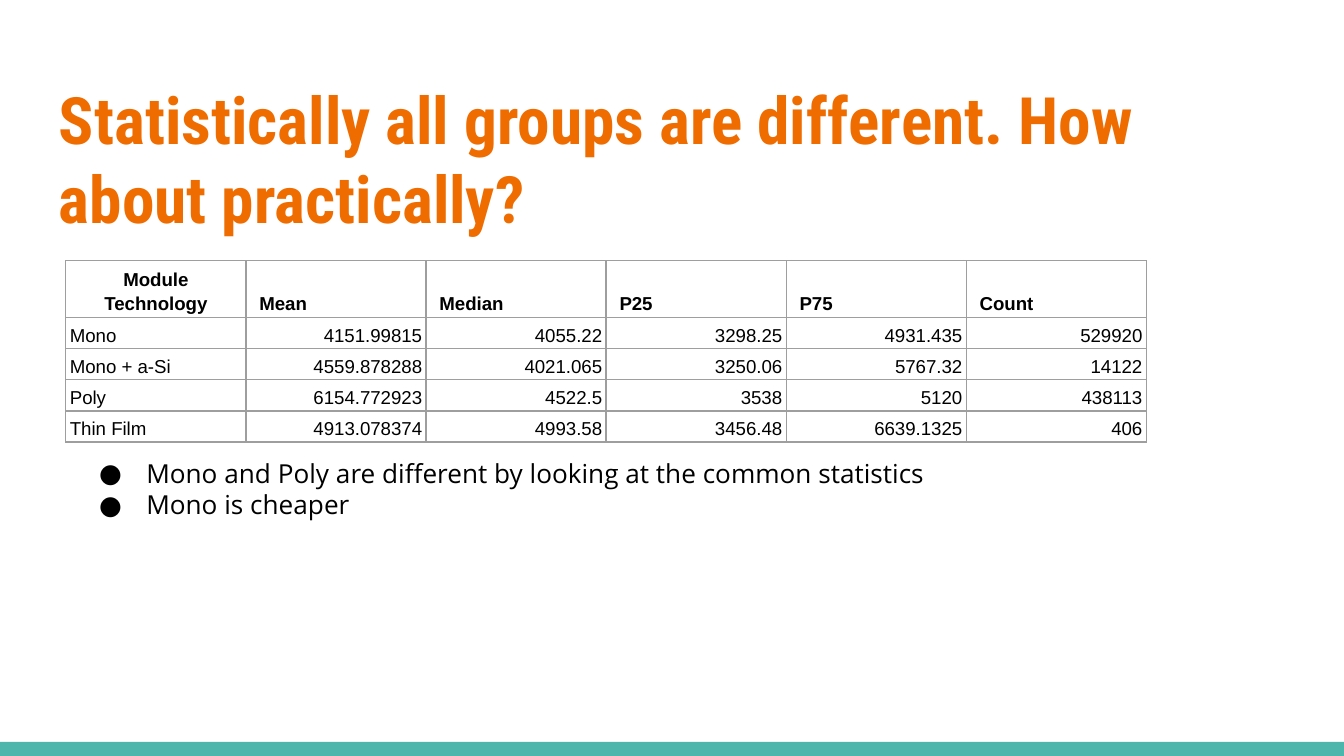
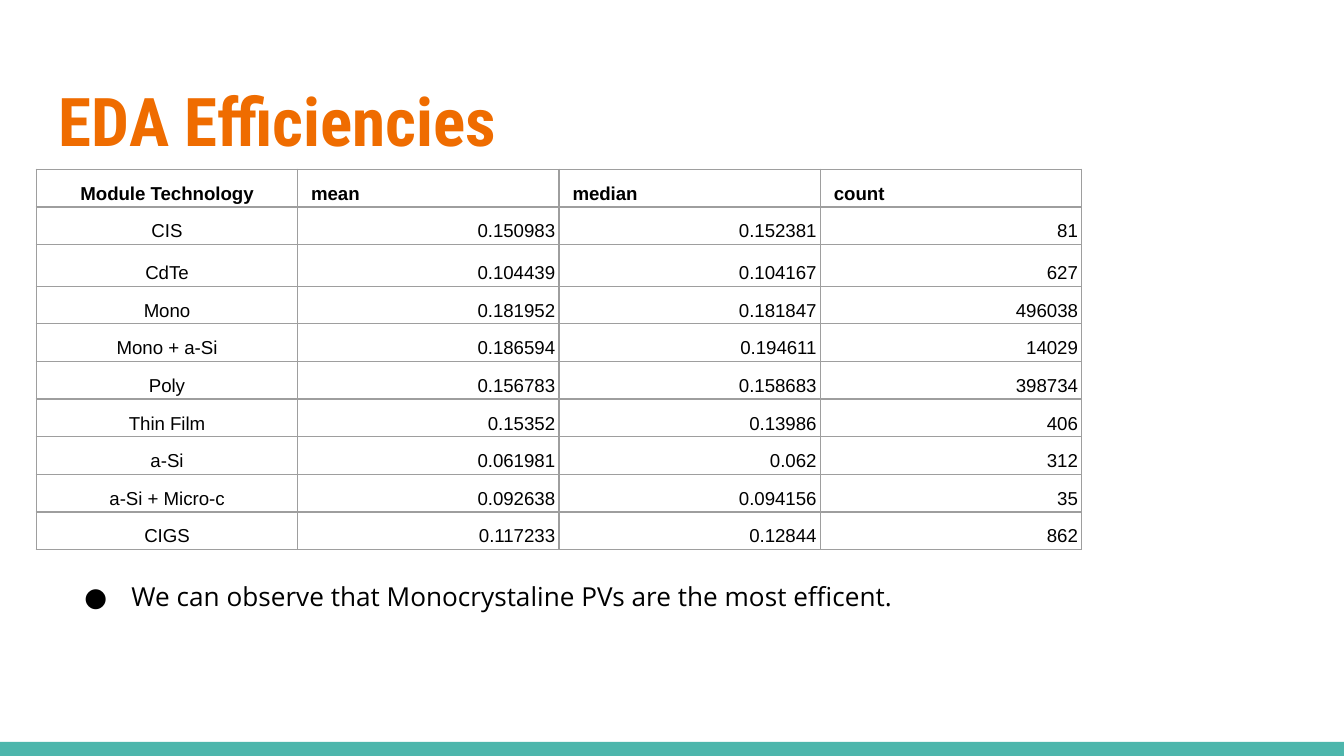
import pptx
import pptx.util
import pptx.dml.color
import pptx.enum.shapes
import pptx.enum.text
import pptx.oxml
import pptx.oxml.ns

Inches = pptx.util.Inches
ALIGN = pptx.enum.text.PP_ALIGN
BLACK, ORANGE, TEAL, GREY = "000000", "EF6C00", "4DB6AC", "9E9E9E"
SPACE = pptx.oxml.ns.nsdecls("a")

COSTS = [
    ["Module Technology", "Mean", "Median", "P25", "P75", "Count"],
    ["Mono", "4151.99815", "4055.22", "3298.25", "4931.435", "529920"],
    ["Mono + a-Si", "4559.878288", "4021.065", "3250.06", "5767.32", "14122"],
    ["Poly", "6154.772923", "4522.5", "3538", "5120", "438113"],
    ["Thin Film", "4913.078374", "4993.58", "3456.48", "6639.1325", "406"],
]
YIELDS = [
    ["Module Technology", "mean", "median", "count"],
    ["CIS", "0.150983", "0.152381", "81"],
    ["CdTe", "0.104439", "0.104167", "627"],
    ["Mono", "0.181952", "0.181847", "496038"],
    ["Mono + a-Si", "0.186594", "0.194611", "14029"],
    ["Poly", "0.156783", "0.158683", "398734"],
    ["Thin Film", "0.15352", "0.13986", "406"],
    ["a-Si", "0.061981", "0.062", "312"],
    ["a-Si + Micro-c", "0.092638", "0.094156", "35"],
    ["CIGS", "0.117233", "0.12844", "862"],
]


def paint(target, color):
    target.solid()
    target.fore_color.rgb = pptx.dml.color.RGBColor.from_string(color)


def write(para, text, font="Arial", size=10, color=BLACK, bold=False,
          align=ALIGN.LEFT, space=None):
    run = para.add_run()
    run.text = text
    run.font.name = font
    run.font.size = pptx.util.Pt(size)
    run.font.bold = bold
    paint(run.font.fill, color)
    para.alignment = align
    if space:
        para.line_spacing = space
    para._p.append(pptx.oxml.parse_xml(
        f'<a:endParaRPr {SPACE} sz="{size * 100}"/>'))


def mark(para, font, size):
    props = para._p.get_or_add_pPr()
    props.set("marL", str(Inches(0.5)))
    props.set("indent", str(Inches(-0.35)))
    for tag in (f'<a:buClr {SPACE}><a:srgbClr val="{BLACK}"/></a:buClr>',
                f'<a:buSzPts {SPACE} val="{size * 100}"/>',
                f'<a:buFont {SPACE} typeface="{font}"/>',
                f'<a:buChar {SPACE} char="●"/>'):
        props.append(pptx.oxml.parse_xml(tag))


def edge(cell):
    props = cell._tc.get_or_add_tcPr()
    width = pptx.util.Pt(0.75)
    for spot, side in enumerate("LRTB"):
        props.insert(spot, pptx.oxml.parse_xml(
            f'<a:ln{side} {SPACE} w="{width}"><a:solidFill>'
            f'<a:srgbClr val="{GREY}"/></a:solidFill></a:ln{side}>'))


def add_box(slide, left, top, width, height):
    box = slide.shapes.add_textbox(*map(Inches, (left, top, width, height)))
    frame = box.text_frame
    frame.word_wrap = True
    frame.margin_left = frame.margin_right = Inches(0.1)
    frame.margin_top = frame.margin_bottom = Inches(0.1)
    return frame


def add_page(deck, title, size, height):
    slide = deck.slides.add_slide(deck.slide_layouts[6])
    paint(slide.background.fill, "FFFFFF")
    band = slide.shapes.add_shape(
        pptx.enum.shapes.MSO_SHAPE.RECTANGLE,
        *map(Inches, (0, 5.52, 10, 0.11)))
    band.shadow.inherit = False
    paint(band.fill, TEAL)
    band.line.fill.background()
    frame = add_box(slide, 0.34, 0.49, 9.32, height)
    write(frame.paragraphs[0], title, font="Roboto Condensed", size=size,
          color=ORANGE, bold=True)
    return slide


def add_grid(slide, data, left, top, width, highs, first):
    count = len(data[0])
    table = slide.shapes.add_table(
        len(data), count,
        *map(Inches, (left, top, width, sum(highs)))).table
    table.first_row = table.horz_banding = False
    for col in table.columns:
        col.width = Inches(width / count)
    for r, (row, high) in enumerate(zip(data, highs)):
        table.rows[r].height = Inches(high)
        for c, text in enumerate(row):
            cell = table.cell(r, c)
            head = r == 0
            if head:
                align = ALIGN.LEFT if c else ALIGN.CENTER
            else:
                align = ALIGN.RIGHT if c else first
            cell.margin_left = cell.margin_right = Inches(0.1 if head else 0.03)
            cell.margin_top = cell.margin_bottom = Inches(0.02)
            cell.vertical_anchor = pptx.enum.text.MSO_ANCHOR.BOTTOM
            cell.fill.background()
            edge(cell)
            write(cell.text_frame.paragraphs[0], text, bold=head,
                  align=align, space=1.15)


def add_list(slide, lines, *place):
    frame = add_box(slide, *place)
    for i, text in enumerate(lines):
        para = frame.add_paragraph() if i else frame.paragraphs[0]
        write(para, text, font="Open Sans", size=14)
        mark(para, "Open Sans", 14)


def main():
    deck = pptx.Presentation()
    deck.slide_width = Inches(10)
    deck.slide_height = Inches(10 * 9 / 16)

    page = add_page(
        deck, "Statistically all groups are different. How about practically?",
        35, 1.45)
    add_grid(page, COSTS, 0.49, 1.94, 8.04, [0.22] * len(COSTS), ALIGN.LEFT)
    add_list(page, [
        "Mono and Poly are different by looking at the common statistics",
        "Mono is cheaper",
    ], 0.49, 3.3, 7.8, 1.67)

    page = add_page(deck, "EDA Efficiencies", 36, 0.77)
    highs = [0.31 if row[0] == "CdTe" else 0.28 for row in YIELDS]
    add_grid(page, YIELDS, 0.27, 1.26, 7.78, highs, ALIGN.CENTER)
    add_list(page, [
        "We can observe that Monocrystaline PVs are the most efficent.",
    ], 0.38, 4.22, 7.9, 0.56)

    deck.save("out.pptx")


if __name__ == "__main__":
    main()
